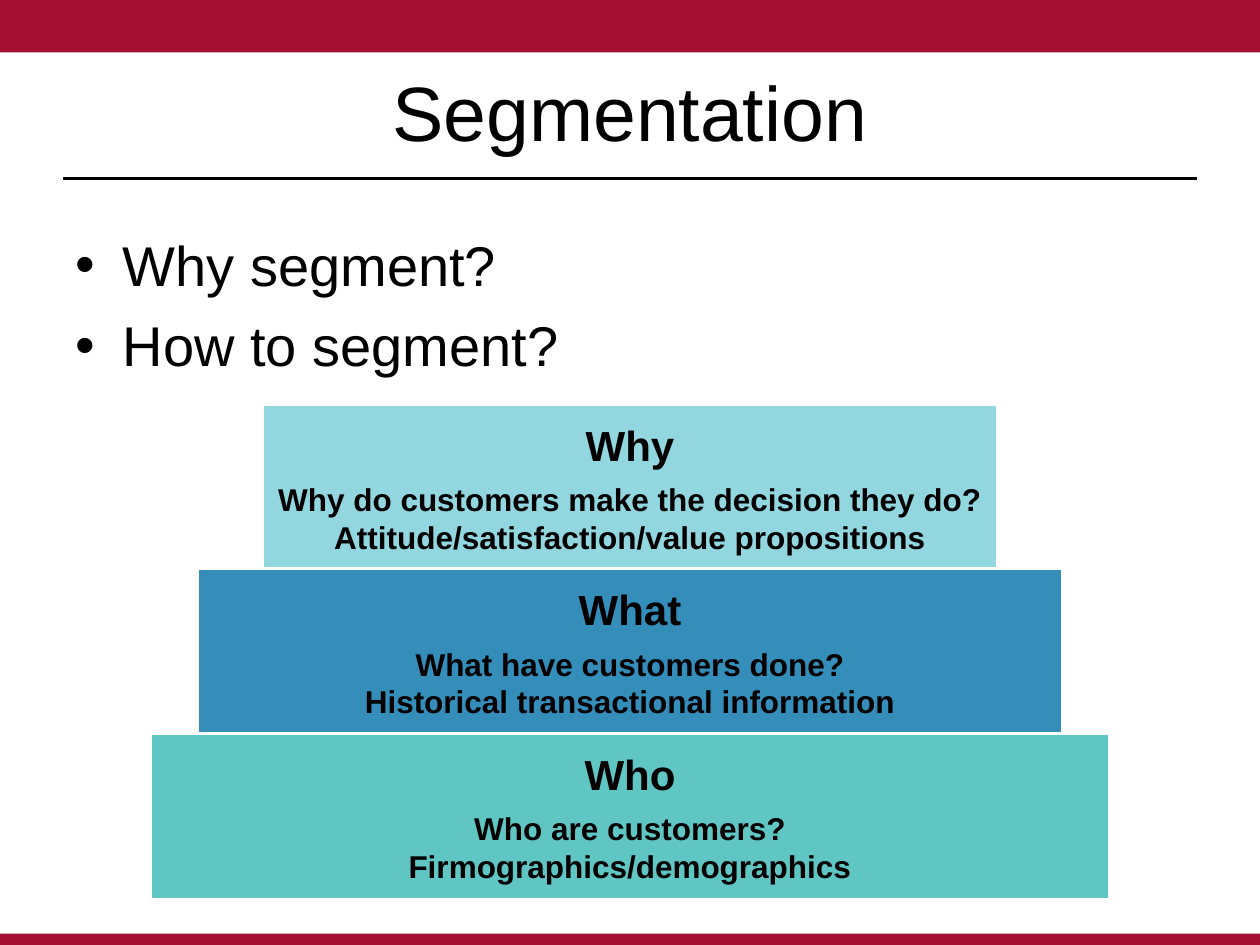
from lxml.etree import SubElement
from pptx import Presentation
from pptx.dml.color import RGBColor
from pptx.enum.shapes import MSO_CONNECTOR, MSO_SHAPE
from pptx.enum.text import MSO_ANCHOR, PP_ALIGN
from pptx.oxml.ns import qn
from pptx.util import Pt

THEME = {
    "font": "Arial",
    "ink": RGBColor.from_string("000000"),
    "paper": RGBColor.from_string("FFFFFF"),
    "crimson": RGBColor.from_string("A41034"),
    "title": Pt(44),
    "body": Pt(32),
    "heading": Pt(24),
    "detail": Pt(18),
}

deck = Presentation()
deck.slide_width, deck.slide_height = Pt(720), Pt(540)
page = deck.slides.add_slide(deck.slide_layouts[6])


def add_block(left, top, width, height, fill):
    block = page.shapes.add_shape(
        MSO_SHAPE.RECTANGLE, Pt(left), Pt(top), Pt(width), Pt(height)
    )
    block.shadow.inherit = False
    block.fill.solid()
    block.fill.fore_color.rgb = fill
    block.line.fill.background()
    return block


def write(para, text, size, align, bold=False, bullet=False, before=0):
    if bullet:
        props = para._p.get_or_add_pPr()
        props.set("marL", str(Pt(27)))
        props.set("indent", str(Pt(-27)))
        SubElement(props, qn("a:buFont")).set("typeface", THEME["font"])
        SubElement(props, qn("a:buChar")).set("char", "•")
    para.alignment = align
    if before:
        para.space_before = Pt(before)
    para.text = text
    for span in para.runs:
        style = {"name": THEME["font"], "size": THEME[size], "bold": bold}
        for name, value in style.items():
            setattr(span.font, name, value)
        span.font.color.rgb = THEME["ink"]


for top, height in [(0, 30), (533.5, 6.5)]:
    add_block(0, top, 720, height, THEME["crimson"])

rule = page.shapes.add_connector(
    MSO_CONNECTOR.STRAIGHT, Pt(36), Pt(102), Pt(684), Pt(102)
)
rule.line.color.rgb = THEME["ink"]
rule.line.width = Pt(1.25)
SubElement(rule._element.spPr, qn("a:effectLst"))

title_box = page.shapes.add_textbox(Pt(36), Pt(18), Pt(648), Pt(90))
title_box.text_frame.word_wrap = True
title_box.text_frame.vertical_anchor = MSO_ANCHOR.MIDDLE
write(title_box.text_frame.paragraphs[0], "Segmentation", "title", PP_ALIGN.CENTER)

question_box = page.shapes.add_textbox(Pt(36), Pt(128), Pt(648), Pt(90))
questions = question_box.text_frame
questions.word_wrap = True
write(questions.paragraphs[0], "Why segment?", "body", PP_ALIGN.LEFT, bullet=True)
write(
    questions.add_paragraph(), "How to segment?", "body", PP_ALIGN.LEFT,
    bullet=True, before=7.7,
)

tiers = [
    ("Why", "Why do customers make the decision they do?\v"
     "Attitude/satisfaction/value propositions", 420, "92D6DF"),
    ("What", "What have customers done?\v"
     "Historical transactional information", 494, "358DBA"),
    ("Who", "Who are customers?\v"
     "Firmographics/demographics", 548, "60C6C3"),
]
for index, (heading, detail, width, color) in enumerate(tiers):
    tier = add_block(
        (720 - width) / 2, 231 + 94 * index, width, 95, RGBColor.from_string(color)
    )
    tier.line.color.rgb = THEME["paper"]
    tier.line.width = Pt(1.5)
    frame = tier.text_frame
    frame.word_wrap = True
    frame.vertical_anchor = MSO_ANCHOR.MIDDLE
    write(frame.paragraphs[0], heading, "heading", PP_ALIGN.CENTER, bold=True)
    write(
        frame.add_paragraph(), detail, "detail", PP_ALIGN.CENTER,
        bold=True, before=6,
    )

deck.save("out.pptx")
